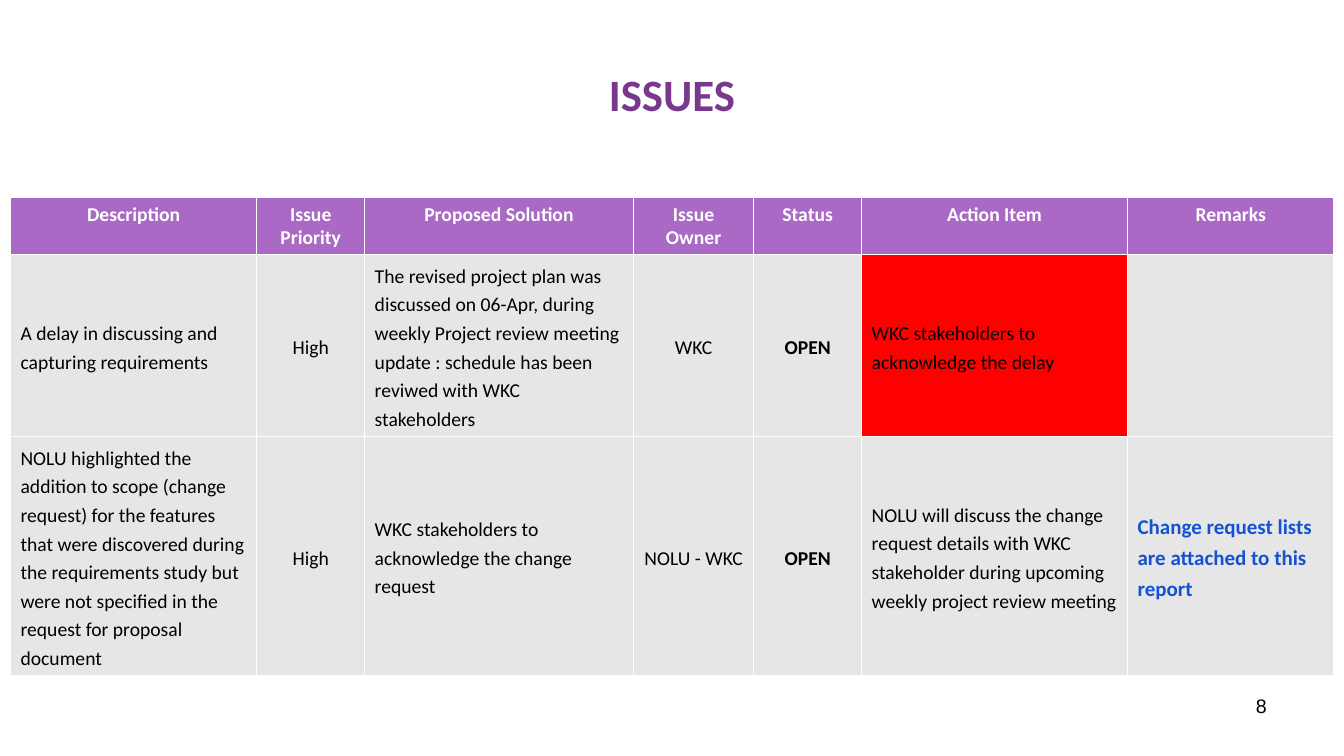
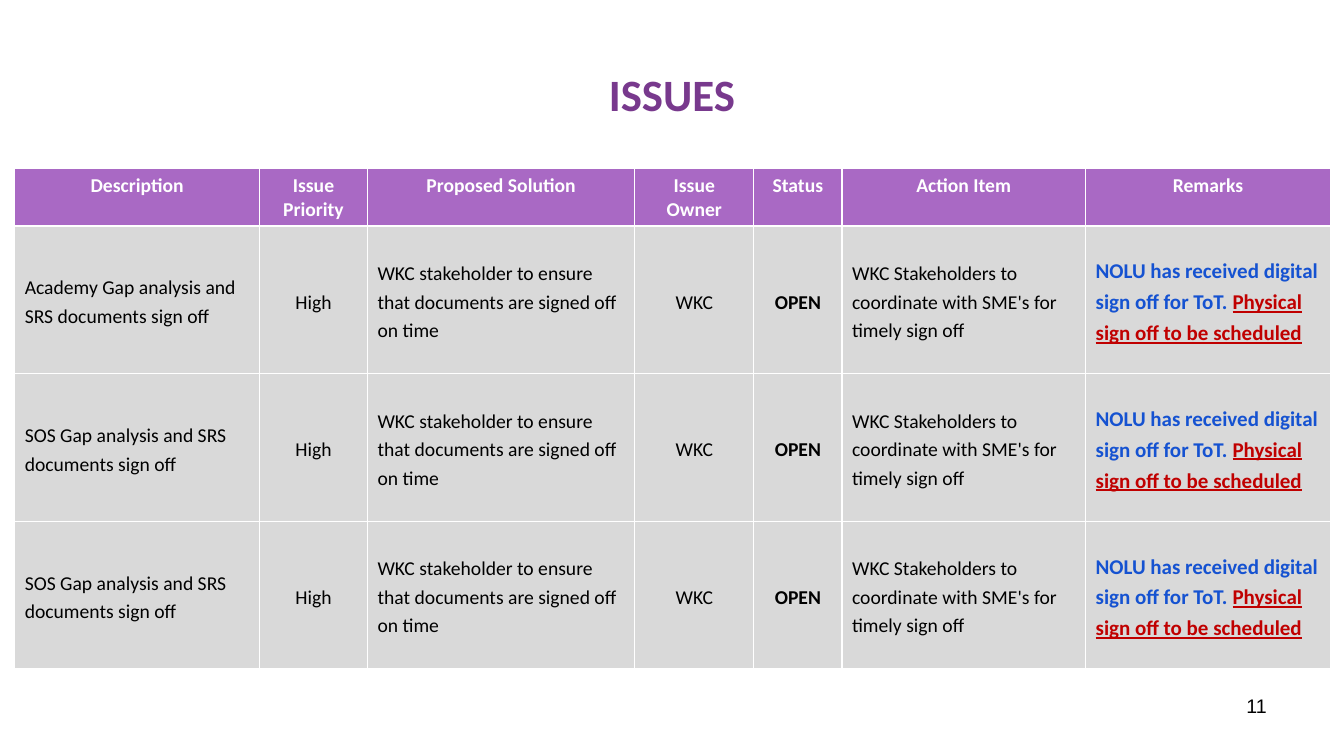
from dataclasses import dataclass

from lxml import etree
from pptx import Presentation
from pptx.dml.color import RGBColor
from pptx.enum.text import MSO_ANCHOR, PP_ALIGN
from pptx.oxml.ns import qn
from pptx.util import Pt

LEFT, CENTER, RIGHT = PP_ALIGN.LEFT, PP_ALIGN.CENTER, PP_ALIGN.RIGHT
TOP, MIDDLE = MSO_ANCHOR.TOP, MSO_ANCHOR.MIDDLE
TITLE_ONLY = 5

PURPLE, HEADER_FILL, RED_FILL = "78398D", "A969C4", "FF0000"
WHITE, BLACK, BLUE, DARK_RED = "FFFFFF", "000000", "1552D1", "C00000"

HEADINGS = ("Description", "Issue Priority", "Proposed Solution", "Issue Owner",
            "Status", "Action Item", "Remarks")
HEADER_HEIGHT = 41


@dataclass(frozen=True)
class Remark:
    text: str
    color: str = BLUE
    underline: bool = False


@dataclass(frozen=True)
class Issue:
    description: str
    solution: str
    owner: str
    action: str
    remarks: tuple[Remark, ...] = ()
    action_fill: str | None = None
    priority: str = "High"
    status: str = "OPEN"


@dataclass(frozen=True)
class IssuePage:
    number: int
    left: float
    top: float
    widths: tuple[float, ...]
    heights: tuple[float, ...]
    fill: str
    issues: tuple[Issue, ...]


def rgb(color: str) -> RGBColor:
    return RGBColor.from_string(color)


def add_span(para, text: str, *, size: float = 14, color: str = BLACK, bold: bool = False,
             underline: bool = False, font: str = "Calibri") -> None:
    span = para.add_run()
    span.text = text
    span.font.name, span.font.size = font, Pt(size)
    span.font.bold, span.font.underline = bold, underline
    span.font.color.rgb = rgb(color)


def write_text(frame, text: str, *, align=LEFT, spacing: float = 1.0, **style) -> None:
    """Write one paragraph per line of text."""
    for index, line in enumerate(text.split("\n")):
        para = frame.add_paragraph() if index else frame.paragraphs[0]
        para.alignment, para.line_spacing = align, spacing
        add_span(para, line, **style)


def format_cell(cell, fill: str, anchor) -> None:
    """Give a cell thin white borders, then its fill and anchor."""
    properties = cell._tc.get_or_add_tcPr()
    for side in ("lnL", "lnR", "lnT", "lnB"):
        line = etree.SubElement(properties, qn(f"a:{side}"), w=str(int(Pt(1))))
        solid = etree.SubElement(line, qn("a:solidFill"))
        etree.SubElement(solid, qn("a:srgbClr"), val=WHITE)
    cell.fill.solid()
    cell.fill.fore_color.rgb = rgb(fill)
    cell.vertical_anchor = anchor


def fill_issue_row(cells: list, issue: Issue, fill: str) -> None:
    columns = (
        (issue.description, LEFT, False),
        (issue.priority, CENTER, False),
        (issue.solution, LEFT, False),
        (issue.owner, CENTER, False),
        (issue.status, CENTER, True),
        (issue.action, LEFT, False),
    )
    for cell, (text, align, bold) in zip(cells, columns):
        format_cell(cell, fill, MIDDLE)
        write_text(cell.text_frame, text, align=align, spacing=1.2, bold=bold)
    if issue.action_fill:
        cells[5].fill.fore_color.rgb = rgb(issue.action_fill)

    # Remarks mix colours within one paragraph
    format_cell(cells[6], fill, MIDDLE)
    para = cells[6].text_frame.paragraphs[0]
    para.line_spacing = 1.2
    for remark in issue.remarks:
        add_span(para, remark.text, size=15, bold=True, color=remark.color,
                 underline=remark.underline)


def add_issue_table(page, content: IssuePage) -> None:
    heights = (HEADER_HEIGHT, *content.heights)
    frame = page.shapes.add_table(len(heights), len(HEADINGS), Pt(content.left), Pt(content.top),
                                  Pt(sum(content.widths)), Pt(sum(heights)))
    table = frame.table
    for column, width in zip(table.columns, content.widths):
        column.width = Pt(width)
    for row, height in zip(table.rows, heights):
        row.height = Pt(height)

    # Header row
    for cell, heading in zip(table.rows[0].cells, HEADINGS):
        format_cell(cell, HEADER_FILL, TOP)
        write_text(cell.text_frame, heading, align=CENTER, color=WHITE, bold=True)

    # One row per issue
    for index, issue in enumerate(content.issues, start=1):
        fill_issue_row(list(table.rows[index].cells), issue, content.fill)


def add_issue_page(deck, content: IssuePage) -> None:
    page = deck.slides.add_slide(deck.slide_layouts[TITLE_ONLY])

    # Title
    title = page.shapes.title
    title.left, title.top, title.width, title.height = Pt(48), Pt(21.6), Pt(864), Pt(90)
    title.text_frame.vertical_anchor = MIDDLE
    write_text(title.text_frame, "ISSUES", align=CENTER, size=32, color=PURPLE, bold=True)

    # Page number
    box = page.shapes.add_textbox(Pt(688), Pt(492), Pt(224), Pt(37.5))
    box.text_frame.word_wrap = True
    write_text(box.text_frame, str(content.number), align=RIGHT, font="Arial")

    add_issue_table(page, content)


def sign_off_issue(subject: str) -> Issue:
    return Issue(
        f"{subject} Gap analysis and SRS documents sign off",
        "WKC stakeholder to ensure that documents are signed off on time",
        "WKC",
        "WKC Stakeholders to coordinate with SME's for timely sign off",
        (Remark("NOLU has received digital sign off for ToT. "),
         Remark("Physical sign off to be scheduled", DARK_RED, True)),
    )


PAGES = (
    IssuePage(
        8, 7.5, 141, (176, 77, 192, 86, 77, 190, 147.5), (130, 170.5), "E6E6E6",
        (
            Issue("A delay in discussing and capturing requirements",
                  "The revised project plan was discussed on 06-Apr, during weekly Project "
                  "review meeting\nupdate : schedule has been reviwed with WKC stakeholders",
                  "WKC",
                  "WKC stakeholders to acknowledge the delay",
                  action_fill=RED_FILL),
            Issue("NOLU highlighted the addition to scope (change request) for the features "
                  "that were discovered during the requirements study but were not specified "
                  "in the request for proposal document",
                  "WKC stakeholders to acknowledge the change request",
                  "NOLU - WKC",
                  "NOLU will discuss the change request details with WKC stakeholder during "
                  "upcoming weekly project review meeting",
                  (Remark("Change request lists are attached to this report"),)),
        ),
    ),
    IssuePage(
        11, 10.5, 120.5, (175, 77, 191, 85, 63, 174, 175), (105.5,) * 3, "D9D9D9",
        tuple(sign_off_issue(subject) for subject in ("Academy", "SOS", "SOS")),
    ),
)


def main() -> None:
    deck = Presentation()
    deck.slide_width, deck.slide_height = Pt(960), Pt(540)
    for content in PAGES:
        add_issue_page(deck, content)
    deck.save("out.pptx")


if __name__ == "__main__":
    main()
